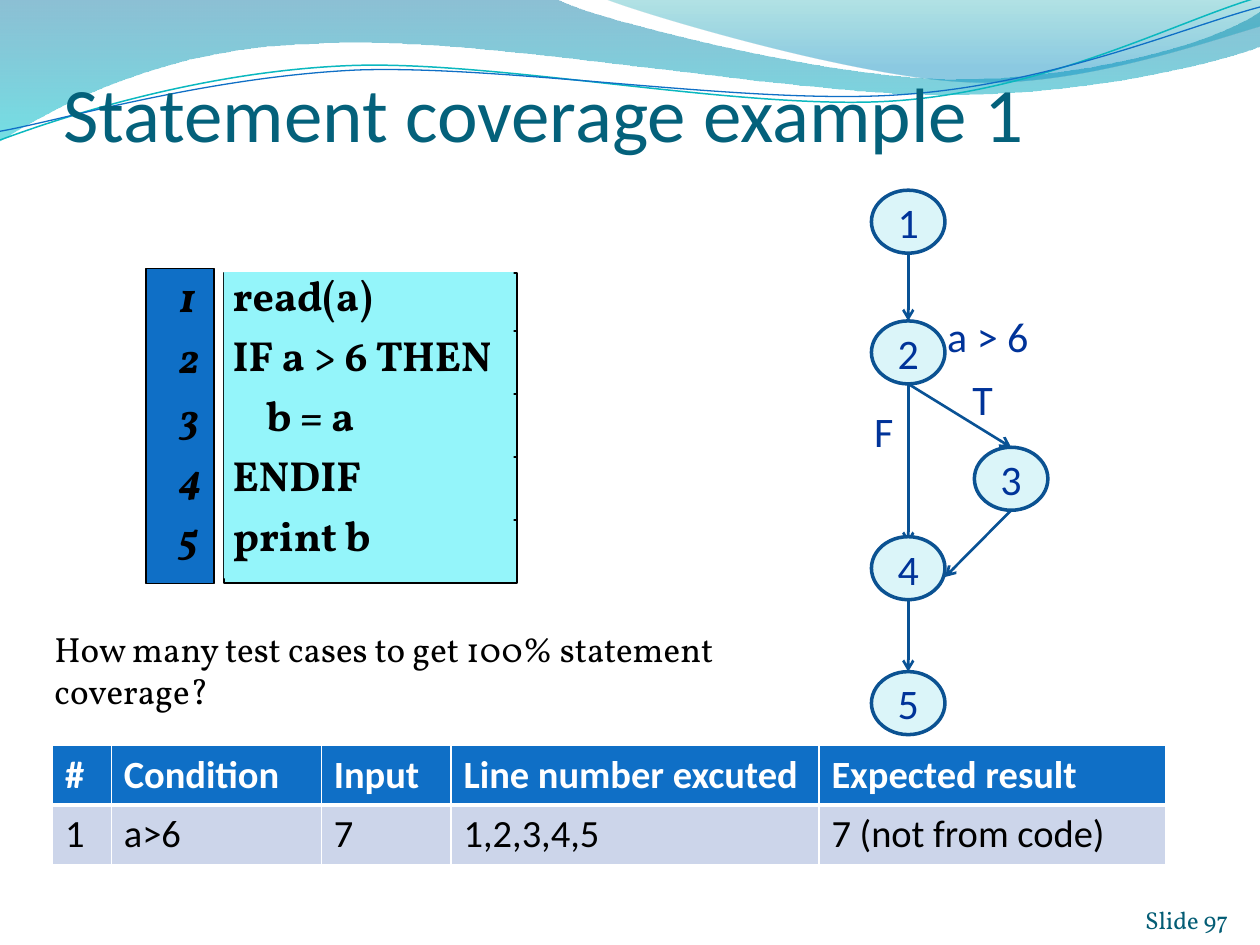
from math import cos, radians, sin
from lxml import etree
from pptx import Presentation
from pptx.dml.color import RGBColor
from pptx.enum.shapes import MSO_CONNECTOR, MSO_SHAPE
from pptx.enum.text import MSO_ANCHOR, MSO_AUTO_SIZE, PP_ALIGN
from pptx.oxml import parse_xml
from pptx.oxml.ns import nsdecls, qn
from pptx.util import Pt

TITLE = "Statement coverage example 1"
QUERY = "How many test cases to get 100% statement coverage?"
CODE = ["read(a)", "IF a > 6 THEN", "    b = a", "ENDIF", "print b"]
ROWS = [
    ["#", "Condition", "Input", "Line number excuted", "Expected result"],
    ["1", "a>6", "7", "1,2,3,4,5", "7 (not from code)"],
]
COLS = [33.6, 120, 74.2, 210.2, 198]
NODES = {"1": (498, 108.7), "2": (498, 183.4), "3": (556.8, 255.6),
         "4": (498, 306.7), "5": (498, 383.8)}
EDGES = [("1", "2", 0, 0), ("2", "3", 0, 0), ("2", "4", 0, 4),
         ("3", "4", 21, 23), ("4", "5", 0, 0)]
LABELS = [("T", 548, 210, 27), ("a > 6", 534, 173.8, 61), ("F", 492, 228, 26)]
WAVES = [
    ([(0, 0), (317, -1), (343, 12, 478, 45, 546, 45), (614, 45, 690, 27, 720, 6.5),
      (721, 26), (708, 32, 626, 55, 537, 54), (447, 54, 275, 20, 185, 24.5),
      (93, 26, 33, 60, -1, 81)],
     [(0, "0074A1", 45), (100, "00C6CF", 55)]),
    ([(345, -1), (367, 8, 491, 45, 554, 47), (616, 50, 692, 23, 720, 15), (720, 0)],
     [(0, "00A1A9", 30), (80, "008BBF", 45)]),
]
CURVES = [
    ([(0, 80), (35, 67, 114, 41, 199, 37.5), (284, 34, 427, 64, 513, 57.5),
      (600, 51, 675, 11, 719, -1.5)], "0AB8BF", 0.85),
    ([(0, 75), (34, 69, 118, 44, 204, 40), (290, 37, 430, 60.5, 516, 54),
      (602, 48, 678, 15, 720, 4)], "0F6FC6", 0.75),
]
TILT = 2.7
PIVOT = (359.4, 42)
SANS, SERIF = "Calibri", "Vollkorn"
NODE_W, NODE_H = 42, 36


def rgb(code):
    return RGBColor.from_string(code)


def pairs(seg):
    return list(zip(seg[::2], seg[1::2]))


def turn(seg):
    c, s = cos(radians(TILT)), sin(radians(TILT))
    out = []
    for x, y in pairs(seg):
        dx, dy = x - PIVOT[0], y - PIVOT[1]
        out += [PIVOT[0] + dx * c - dy * s, PIVOT[1] + dx * s + dy * c]
    return out


def draw(segs, close):
    ends = [(Pt(seg[-2]), Pt(seg[-1])) for seg in segs]
    pen = shapes.build_freeform(*ends[0], scale=1.0)
    pen.add_line_segments(ends[1:], close=close)
    shape = pen.convert_to_shape()
    shape.shadow.inherit = False
    steps = list(shape._element.iter(qn("a:lnTo")))
    for step, seg in zip(steps, segs[1:]):
        if len(seg) == 6:
            step.tag = qn("a:cubicBezTo")
            step.remove(step[0])
            for x, y in pairs(seg):
                etree.SubElement(step, qn("a:pt"), x=str(Pt(x) - shape.left),
                                 y=str(Pt(y) - shape.top))
    return shape


def shade(shape, stops):
    shape.line.fill.background()
    body = "".join(
        f'<a:gs pos="{pos * 1000}"><a:srgbClr val="{code}">'
        f'<a:alpha val="{alpha * 1000}"/></a:srgbClr></a:gs>'
        for pos, code, alpha in stops)
    grad = parse_xml(f'<a:gradFill {nsdecls("a")}><a:gsLst>{body}</a:gsLst>'
                     '<a:lin ang="5400000" scaled="0"/></a:gradFill>')
    shape._element.spPr.find(qn("a:custGeom")).addnext(grad)


def block(kind, x, y, w, h, fill, line=None, width=1):
    shape = shapes.add_shape(kind, Pt(x), Pt(y), Pt(w), Pt(h))
    shape.shadow.inherit = False
    shape.fill.solid()
    shape.fill.fore_color.rgb = rgb(fill)
    if line:
        shape.line.color.rgb = rgb(line)
        shape.line.width = Pt(width)
    else:
        shape.line.fill.background()
    return shape


def write(frame, lines, font, size, color, align=PP_ALIGN.LEFT, bold=False,
          slant=False, pad=(7.2, 3.6, 7.2, 3.6), anchor=MSO_ANCHOR.TOP,
          wrap=True, ratio=None, gap=0):
    frame.auto_size = MSO_AUTO_SIZE.NONE
    frame.word_wrap = wrap
    frame.vertical_anchor = anchor
    (frame.margin_left, frame.margin_top,
     frame.margin_right, frame.margin_bottom) = map(Pt, pad)
    for i, line in enumerate(lines):
        para = frame.add_paragraph() if i else frame.paragraphs[0]
        para.text = line
        para.alignment = align
        if ratio:
            para.line_spacing = ratio
        if i:
            para.space_before = Pt(gap)
        face = para.font
        face.name, face.size, face.bold, face.italic = font, Pt(size), bold, slant
        face.color.rgb = rgb(color)


def label(x, y, w, h, lines, *style, **more):
    box = shapes.add_textbox(Pt(x), Pt(y), Pt(w), Pt(h))
    write(box.text_frame, lines, *style, **more)


def join(start, end, dx, dy):
    (x1, y1), (x2, y2) = NODES[start], NODES[end]
    mid = NODE_W / 2
    line = shapes.add_connector(MSO_CONNECTOR.STRAIGHT, Pt(x1 + mid), Pt(y1 + NODE_H),
                                Pt(x2 + mid + dx), Pt(y2 + dy))
    line.line.color.rgb = rgb("095295")
    line.line.width = Pt(1.5)
    etree.SubElement(line.line._get_or_add_ln(), qn("a:tailEnd"), type="arrow")
    etree.SubElement(line._element.spPr, qn("a:effectLst"))


def border(cell, **sides):
    props = cell._tc.get_or_add_tcPr()
    for i, (side, width) in enumerate(sides.items()):
        props.insert(i, parse_xml(
            f'<a:ln{side} {nsdecls("a")} w="{Pt(width)}"><a:solidFill>'
            f'<a:srgbClr val="FFFFFF"/></a:solidFill></a:ln{side}>'))


deck = Presentation()
deck.slide_width, deck.slide_height = Pt(720), Pt(540)
slide = deck.slides.add_slide(deck.slide_layouts[5])
shapes = slide.shapes

for segs, stops in WAVES:
    shade(draw(segs, True), stops)
for segs, code, width in CURVES:
    curve = draw([turn(seg) for seg in segs], False)
    curve.rotation = 360 - TILT
    curve.fill.background()
    curve.line.color.rgb = rgb(code)
    curve.line.width = Pt(width)

title = shapes.title
title.left, title.top, title.width, title.height = Pt(36), Pt(30.3), Pt(660), Pt(60)
write(title.text_frame, [TITLE], SANS, 44, "04617B", pad=(0, 3.6, 0, 0),
      anchor=MSO_ANCHOR.BOTTOM)
shapes._spTree.append(title._element)

for i in range(len(CODE)):
    block(MSO_SHAPE.RECTANGLE, 128, max(156, 153.3 + 36 * i), 167.5, 35.8,
          "94F5FA", "000000")
panel = block(MSO_SHAPE.RECTANGLE, 128, 155.6, 165.6, 175, "94F5FA")
listing = dict(bold=True, ratio=0.86, gap=9.6)
write(panel.text_frame, CODE, SERIF, 24, "000000", pad=(5, 2.5, 5, 2.5), **listing)
block(MSO_SHAPE.RECTANGLE, 83.5, 153.4, 39, 180, "0F6FC6", "000000")
label(95, 153.4, 27.5, 173.5, [str(i + 1) for i in range(len(CODE))], SERIF, 24,
      "000000", slant=True, anchor=MSO_ANCHOR.MIDDLE, wrap=False, **listing)

for edge in EDGES:
    join(*edge)
for name, (x, y) in NODES.items():
    node = block(MSO_SHAPE.OVAL, x, y, NODE_W, NODE_H, "DBF5F9", "0B5292", 2)
    write(node.text_frame, [name], SANS, 24, "003399", align=PP_ALIGN.CENTER,
          anchor=MSO_ANCHOR.MIDDLE)
for text, x, y, w in LABELS:
    label(x, y, w, 36, [text], SANS, 24, "003399", align=PP_ALIGN.CENTER, wrap=False)

label(24, 355, 460, 56, [QUERY], SERIF, 20, "000000")

table = shapes.add_table(len(ROWS), len(COLS), Pt(30), Pt(426),
                         Pt(sum(COLS)), Pt(67)).table
for col, width in zip(table.columns, COLS):
    col.width = Pt(width)
for i, row in enumerate(ROWS):
    head = i == 0
    table.rows[i].height = Pt(33)
    for j, text in enumerate(row):
        cell = table.cell(i, j)
        cell.fill.solid()
        cell.fill.fore_color.rgb = rgb("0F6FC6" if head else "CCD5EA")
        border(cell, L=1, R=1, T=1 if head else 3, B=3 if head else 1)
        para = cell.text_frame.paragraphs[0]
        para.text = text
        para.font.name, para.font.size, para.font.bold = SANS, Pt(22), head
        para.font.color.rgb = rgb("FFFFFF" if head else "000000")

label(642, 505.2, 60, 28.8, ["Slide 97"], SERIF, 14, "045D75", align=PP_ALIGN.RIGHT,
      pad=(0, 0, 0, 0), anchor=MSO_ANCHOR.BOTTOM)

deck.save("out.pptx")
